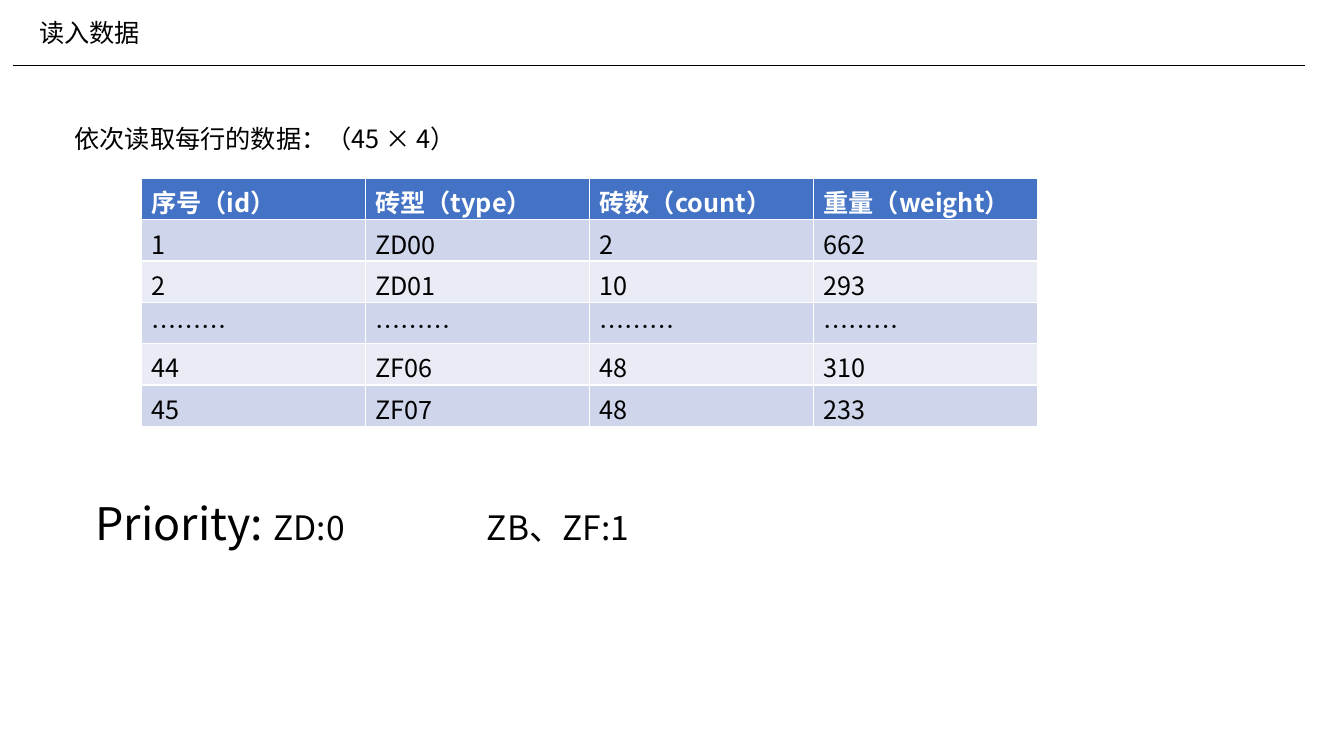
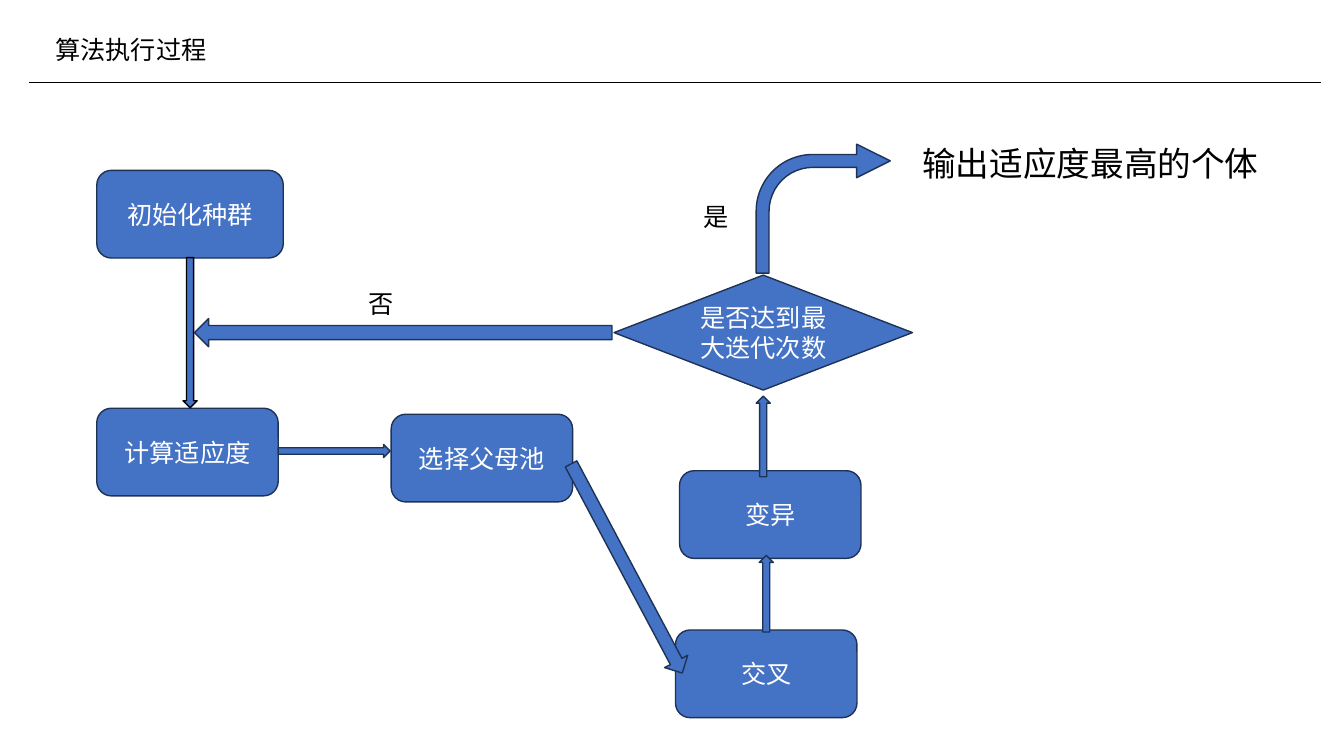
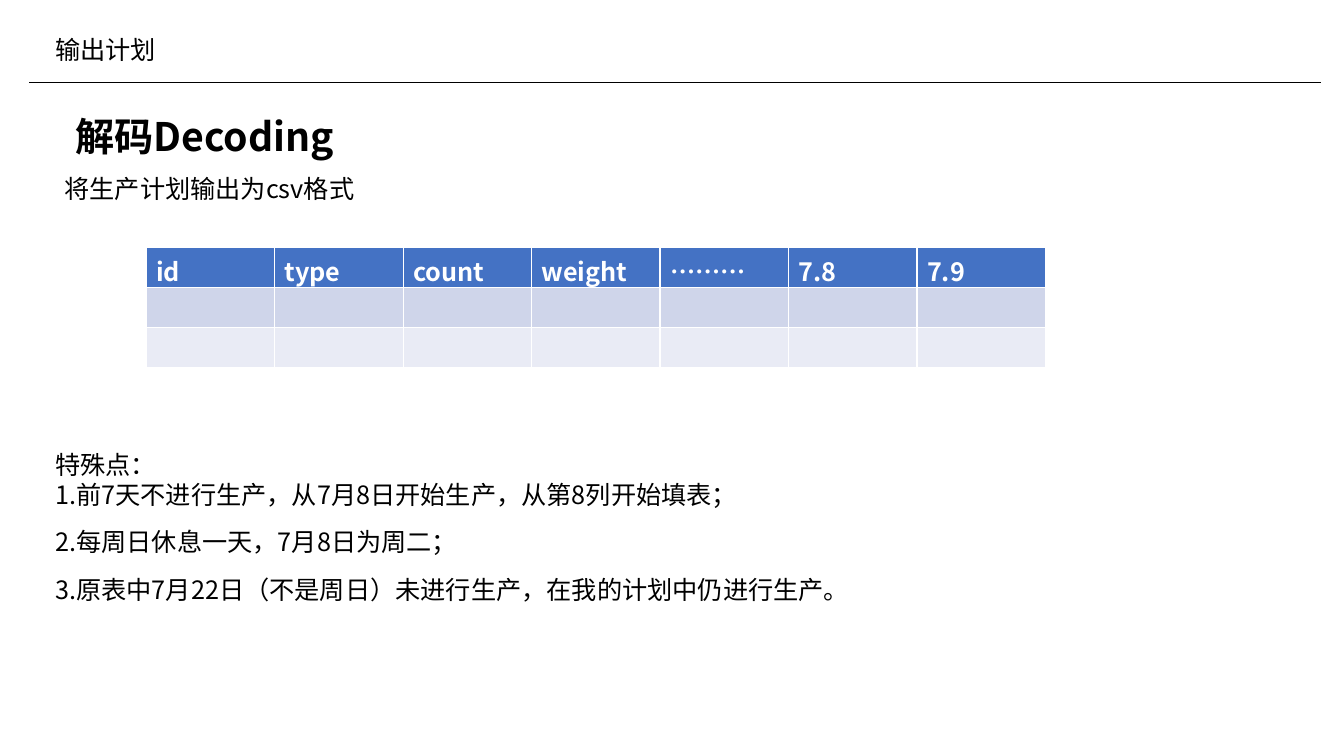
"""Build three slides on reading brick data, running a genetic algorithm and writing the plan."""
from lxml import etree
from pptx import Presentation
from pptx.dml.color import RGBColor
from pptx.enum.shapes import MSO_CONNECTOR, MSO_SHAPE
from pptx.enum.text import MSO_AUTO_SIZE, PP_ALIGN
from pptx.oxml.ns import qn
from pptx.util import Inches, Pt

FONT = "Noto Sans CJK SC"
BLACK = RGBColor(0x00, 0x00, 0x00)
WHITE = RGBColor(0xFF, 0xFF, 0xFF)
BLUE = RGBColor(0x44, 0x72, 0xC4)
NAVY = RGBColor(0x1E, 0x32, 0x56)
BANDS = [RGBColor(0xCF, 0xD5, 0xEA), RGBColor(0xE9, 0xEB, 0xF5)]

STRAIGHT = MSO_CONNECTOR.STRAIGHT
STEP = MSO_SHAPE.FLOWCHART_ALTERNATE_PROCESS
DECISION = MSO_SHAPE.FLOWCHART_DECISION
RIGHT, LEFT, UP = MSO_SHAPE.RIGHT_ARROW, MSO_SHAPE.LEFT_ARROW, MSO_SHAPE.UP_ARROW
BENT = MSO_SHAPE.BENT_ARROW
GROW = MSO_AUTO_SIZE.SHAPE_TO_FIT_TEXT
CENTER = PP_ALIGN.CENTER


def style(paragraph, size=18, color=BLACK, bold=False):
    font = paragraph.font
    font.name, font.size, font.bold = FONT, Pt(size), bold
    font.color.rgb = color
    defaults = paragraph._p.get_or_add_pPr().find(qn("a:defRPr"))
    etree.SubElement(defaults, qn("a:ea"), typeface=FONT)


def add_text(slide, text, box, size=18, bold=False):
    frame = slide.shapes.add_textbox(*map(Inches, box)).text_frame
    frame.word_wrap = True
    frame.auto_size = GROW
    frame.text = text
    for paragraph in frame.paragraphs:
        style(paragraph, size, bold=bold)
    return frame


deck = Presentation()
deck.slide_width, deck.slide_height = Inches(13.33), Inches(7.5)

slides = []
for title, left, top in [
    ("读入数据", 0.29, 0.12),
    ("算法执行过程", 0.45, 0.29),
    ("输出计划", 0.45, 0.29),
]:
    slide = deck.slides.add_slide(deck.slide_layouts[6])
    add_text(slide, title, (left, top, 5.4, 0.4))
    rule_left, rule_y = Inches(left - 0.16), Inches(top + 0.53)
    rule = slide.shapes.add_connector(
        STRAIGHT, rule_left, rule_y, rule_left + Inches(12.81), rule_y)
    rule.line.color.rgb = BLACK
    rule.line.width = Pt(0.5)
    etree.SubElement(rule._element.spPr, qn("a:effectLst"))
    slides.append(slide)
reading, process, output = slides

brick_rows = [
    ["序号（id）", "砖型（type）", "砖数（count）", "重量（weight）"],
    ["1", "ZD00", "2", "662"],
    ["2", "ZD01", "10", "293"],
    ["………"] * 4,
    ["44", "ZF06", "48", "310"],
    ["45", "ZF07", "48", "233"],
]
plan_rows = [
    ["id", "type", "count", "weight", "………", "7.8", "7.9"],
    [""] * 7,
    [""] * 7,
]
for slide, rows, left, top, width, row_height in [
    (reading, brick_rows, 1.4, 1.77, 8.89, 0.41),
    (output, plan_rows, 1.45, 2.45, 8.92, 0.4),
]:
    table = slide.shapes.add_table(
        len(rows), len(rows[0]), Inches(left), Inches(top),
        Inches(width), Inches(row_height * len(rows))).table
    for r, row in enumerate(rows):
        for c, value in enumerate(row):
            cell = table.cell(r, c)
            cell.text = value
            cell.fill.solid()
            cell.fill.fore_color.rgb = BANDS[(r - 1) % 2] if r else BLUE
            style(cell.text_frame.paragraphs[0], color=BLACK if r else WHITE, bold=r == 0)

add_text(reading, "依次读取每行的数据：（45 × 4）", (0.64, 1.17, 5.74, 0.4))
priority = add_text(reading, "Priority: ", (0.85, 4.87, 9.97, 0.64), 32).paragraphs[0]
levels = priority.add_run()
levels.text = "ZD:0\tZB、ZF:1"
levels.font.size = Pt(24)
tabs = etree.Element(qn("a:tabLst"))
etree.SubElement(tabs, qn("a:tab"), pos=str(Inches(3.88)), algn="l")
priority._p.pPr.find(qn("a:defRPr")).addprevious(tabs)

for kind, text, box in [
    (STEP, "初始化种群", (0.96, 1.69, 1.85, 0.87)),
    (STEP, "计算适应度", (0.96, 4.05, 1.8, 0.87)),
    (STEP, "选择父母池", (3.88, 4.11, 1.8, 0.87)),
    (STEP, "交叉", (6.7, 6.25, 1.8, 0.87)),
    (STEP, "变异", (6.74, 4.67, 1.8, 0.87)),
    (DECISION, "是否达到最大迭代次数", (6.09, 2.73, 2.96, 1.14)),
    (RIGHT, "", (1.14, 3.23, 1.49, 0.14)),
    (RIGHT, "", (2.76, 4.41, 1.11, 0.13)),
    (RIGHT, "", (5.04, 5.51, 2.35, 0.26)),
    (UP, "", (7.53, 5.51, 0.14, 0.76)),
    (UP, "", (7.5, 3.93, 0.14, 0.8)),
    (LEFT, "", (1.93, 3.16, 4.14, 0.28)),
    (BENT, "", (7.5, 1.43, 1.33, 1.28)),
]:
    part = process.shapes.add_shape(kind, *map(Inches, box))
    part.shadow.inherit = False
    part.fill.solid()
    part.fill.fore_color.rgb = BLUE
    part.line.color.rgb = NAVY
    part.line.width = Pt(1)
    if text:
        part.text_frame.text = text
        label = part.text_frame.paragraphs[0]
        label.alignment = CENTER
        style(label, color=WHITE)
    if box == (1.14, 3.23, 1.49, 0.14):
        part.rotation = 90
        part.line.color.rgb = BLACK
    elif box == (5.04, 5.51, 2.35, 0.26):
        part.rotation = 62
    elif kind == BENT:
        for i, value in enumerate([0.1, 0.13, 0.26, 0.44]):
            part.adjustments[i] = value

add_text(process, "否", (3.56, 2.81, 0.46, 0.4))
add_text(process, "是", (6.88, 1.95, 0.55, 0.4))
add_text(process, "输出适应度最高的个体", (9.05, 1.37, 3.6, 0.5), 24)

add_text(output, "将生产计划输出为csv格式", (0.54, 1.67, 10.75, 0.4))
notes = add_text(
    output,
    "特殊点：\v1.前7天不进行生产，从7月8日开始生产，从第8列开始填表；\n"
    "2.每周日休息一天，7月8日为周二；\n"
    "3.原表中7月22日（不是周日）未进行生产，在我的计划中仍进行生产。",
    (0.45, 4.41, 10.56, 1.65))
for paragraph in notes.paragraphs:
    paragraph.space_before = paragraph.space_after = Pt(6)
add_text(output, "解码Decoding", (0.65, 1.07, 3.65, 0.57), 28, bold=True)

deck.save("out.pptx")
